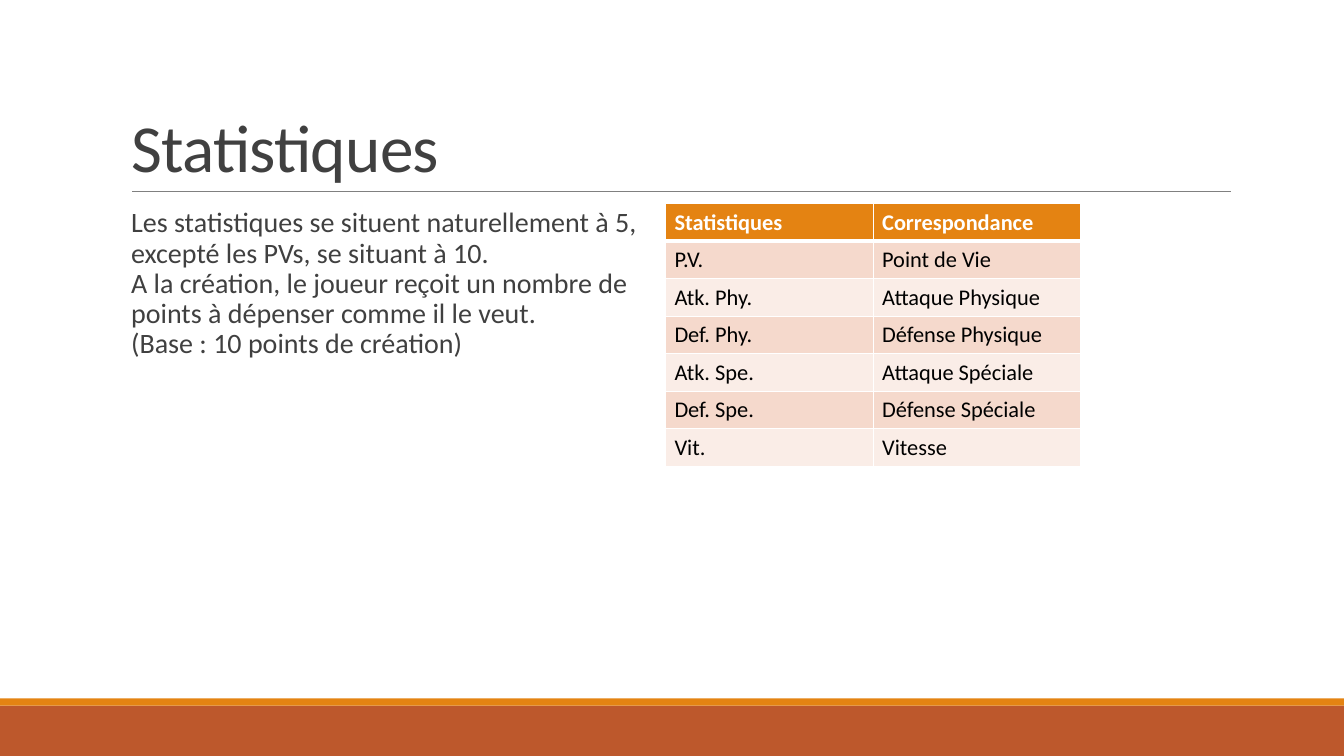
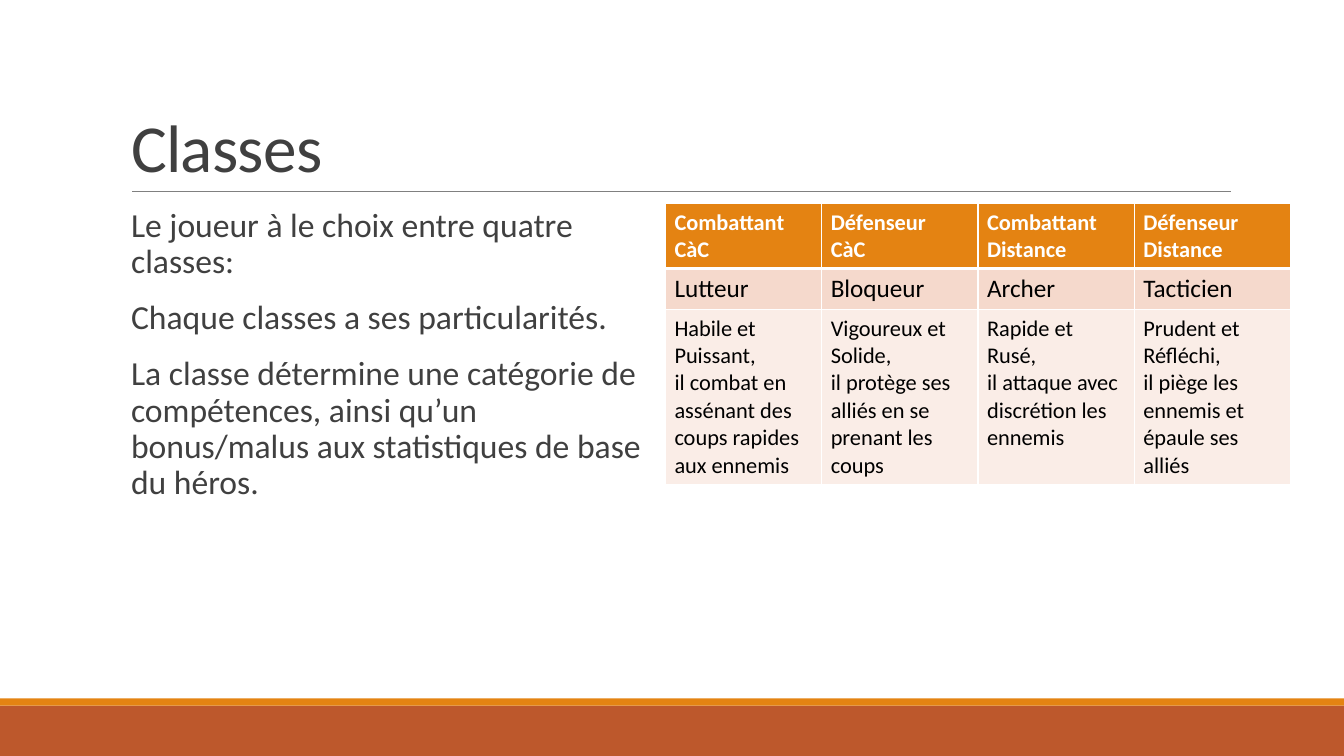
import copy
from dataclasses import dataclass

import lxml.etree
import pptx
import pptx.dml.color
import pptx.enum.shapes
import pptx.enum.text
import pptx.oxml
import pptx.oxml.ns
import pptx.util

Inches = pptx.util.Inches
Pt = pptx.util.Pt
qn = pptx.oxml.ns.qn

# Content
SLIDES = [
    {
        "title": "Statistiques",
        "body": [
            "Les statistiques se situent naturellement à 5, excepté les PVs, se situant à 10.\n"
            "A la création, le joueur reçoit un nombre de points à dépenser comme il le veut.\n"
            "(Base : 10 points de création)",
        ],
        "body_size": 20,
        "body_width": 5.4,
        "table": [
            ("Statistiques", "Correspondance"),
            ("P.V.", "Point de Vie"),
            ("Atk. Phy.", "Attaque Physique"),
            ("Def. Phy.", "Défense Physique"),
            ("Atk. Spe.", "Attaque Spéciale"),
            ("Def. Spe.", "Défense Spéciale"),
            ("Vit.", "Vitesse"),
        ],
        "row_sizes": [16] * 7,
        "column_width": 2.06,
        "row_height": 0.37,
    },
    {
        "title": "Classes",
        "body": [
            "Le joueur à le choix entre quatre classes:",
            "Chaque classes a ses particularités.",
            "La classe détermine une catégorie de compétences, ainsi qu’un "
            "bonus/malus aux statistiques de base du héros.",
        ],
        "body_size": 24,
        "body_width": 5.33,
        "table": [
            ("Combattant\nCàC", "Défenseur\nCàC", "Combattant\nDistance", "Défenseur\nDistance"),
            ("Lutteur", "Bloqueur", "Archer", "Tacticien"),
            (
                "Habile et Puissant,\nil combat en assénant des coups rapides aux ennemis",
                "Vigoureux et Solide,\nil protège ses alliés en se prenant les coups",
                "Rapide et Rusé,\nil attaque avec discrétion les ennemis",
                "Prudent et Réfléchi,\nil piège les ennemis et épaule ses alliés",
            ),
        ],
        "row_sizes": [16, 18, 16],
        "column_width": 1.55,
        "row_height": 0.41,
    },
]


# Look
@dataclass(frozen=True)
class Theme:
    font: str = "Calibri"
    text: str = "404040"
    cell_text: str = "000000"
    white: str = "FFFFFF"
    accent: str = "E48312"
    footer: str = "BD582C"
    rule: str = "808080"
    stripes: tuple = ("F5D9CC", "FAEDE7")
    title_size: int = 48
    title_tracking: int = -50  # hundredths of a point
    border: float = 1
    header_border: float = 3


THEME = Theme()
SLIDE_WIDTH, SLIDE_HEIGHT = 13.33, 7.5
CONTENT_LEFT, CONTENT_TOP = 1.2, 2.02
TABLE_LEFT = 6.6
RULE_LEFT, RULE_RIGHT, RULE_TOP = 1.31, 12.21, 1.9


def rgb(color):
    return pptx.dml.color.RGBColor.from_string(color)


def place(shape, left, top, width, height):
    shape.left, shape.top = Inches(left), Inches(top)
    shape.width, shape.height = Inches(width), Inches(height)


def write(paragraph, text, size, color, bold=False, tracking=None):
    """Add one run per line, with line breaks of the same size."""
    for number, line in enumerate(text.split("\n")):
        if number:
            paragraph.add_line_break()
            line_break = paragraph._p[-1]
        run = paragraph.add_run()
        run.text = line
        run.font.name = THEME.font
        run.font.size = Pt(size)
        run.font.bold = bold
        run.font.color.rgb = rgb(color)
        if tracking:
            run._r.rPr.set("spc", str(tracking))
        if number:
            line_break.append(copy.deepcopy(run._r.rPr))


# Shared bands and rule, kept on the layout
def decorate_layout(layout, slide):
    decorations = []
    for top, height, color in ((7, 0.5, THEME.footer), (6.93, 0.07, THEME.accent)):
        band = slide.shapes.add_shape(
            pptx.enum.shapes.MSO_SHAPE.RECTANGLE,
            Inches(0), Inches(top), Inches(SLIDE_WIDTH), Inches(height),
        )
        band.shadow.inherit = False
        band.fill.solid()
        band.fill.fore_color.rgb = rgb(color)
        band.line.fill.background()
        decorations.append(band)
    rule = slide.shapes.add_connector(
        pptx.enum.shapes.MSO_CONNECTOR.STRAIGHT,
        Inches(RULE_LEFT), Inches(RULE_TOP), Inches(RULE_RIGHT), Inches(RULE_TOP),
    )
    rule.line.color.rgb = rgb(THEME.rule)
    rule.line.width = Pt(0.5)
    lxml.etree.SubElement(rule._element.spPr, qn("a:effectLst"))
    decorations.append(rule)
    for shape in decorations:
        layout.element.cSld.spTree.append(shape._element)


def fill_title(title, text):
    place(title, CONTENT_LEFT, 0.31, 11, 1.59)
    frame = title.text_frame
    frame.auto_size = pptx.enum.text.MSO_AUTO_SIZE.NONE
    frame.vertical_anchor = pptx.enum.text.MSO_ANCHOR.BOTTOM
    paragraph = frame.paragraphs[0]
    paragraph.alignment = pptx.enum.text.PP_ALIGN.LEFT
    paragraph.line_spacing = 0.85
    write(paragraph, text, THEME.title_size, THEME.text, tracking=THEME.title_tracking)


def fill_body(body, texts, size, width):
    place(body, CONTENT_LEFT, CONTENT_TOP, width, 4.4)
    frame = body.text_frame
    frame.auto_size = pptx.enum.text.MSO_AUTO_SIZE.NONE
    frame.margin_left = frame.margin_right = 0
    frame.margin_top = frame.margin_bottom = Inches(0.05)
    for number, text in enumerate(texts):
        paragraph = frame.add_paragraph() if number else frame.paragraphs[0]
        paragraph.line_spacing = 0.9
        paragraph.space_before = Pt(12)
        paragraph.space_after = Pt(2)
        # Blank bullet with a hanging indent
        properties = paragraph._p.get_or_add_pPr()
        properties.set("marL", str(Inches(0.1)))
        properties.set("indent", str(-Inches(0.1)))
        bullet_color = lxml.etree.SubElement(properties, qn("a:buClr"))
        lxml.etree.SubElement(bullet_color, qn("a:srgbClr"), val=THEME.accent)
        lxml.etree.SubElement(properties, qn("a:buChar"), char=" ")
        write(paragraph, text, size, THEME.text)


def set_borders(cell, row_number):
    widths = {"lnL": THEME.border, "lnR": THEME.border,
              "lnT": THEME.header_border if row_number == 1 else THEME.border,
              "lnB": THEME.header_border if row_number == 0 else THEME.border}
    properties = cell._tc.get_or_add_tcPr()
    for side, width in widths.items():
        line = lxml.etree.SubElement(properties, qn("a:" + side), w=str(Pt(width)))
        fill = lxml.etree.SubElement(line, qn("a:solidFill"))
        lxml.etree.SubElement(fill, qn("a:srgbClr"), val=THEME.white)


def add_striped_table(slide, rows, row_sizes, column_width, row_height):
    columns = len(rows[0])
    table = slide.shapes.add_table(
        len(rows), columns, Inches(TABLE_LEFT), Inches(CONTENT_TOP),
        Inches(column_width * columns), Inches(row_height * len(rows)),
    ).table
    table.horz_banding = False
    for column in table.columns:
        column.width = Inches(column_width)
    for row_number, (texts, size) in enumerate(zip(rows, row_sizes)):
        header = row_number == 0
        table.rows[row_number].height = Inches(row_height)
        for column_number, text in enumerate(texts):
            cell = table.cell(row_number, column_number)
            cell.margin_left = cell.margin_right = Inches(0.09)
            cell.margin_top = cell.margin_bottom = Inches(0.05)
            set_borders(cell, row_number)
            cell.fill.solid()
            cell.fill.fore_color.rgb = rgb(
                THEME.accent if header else THEME.stripes[(row_number - 1) % 2])
            write(cell.text_frame.paragraphs[0], text, size,
                  THEME.white if header else THEME.cell_text, bold=header)


def main():
    presentation = pptx.Presentation()
    presentation.slide_width = Inches(SLIDE_WIDTH)
    presentation.slide_height = Inches(SLIDE_HEIGHT)
    layout = presentation.slide_layouts.get_by_name("Title and Content")
    for number, content in enumerate(SLIDES):
        slide = presentation.slides.add_slide(layout)
        if number == 0:
            decorate_layout(layout, slide)
        fill_title(slide.shapes.title, content["title"])
        fill_body(slide.placeholders[1], content["body"],
                  content["body_size"], content["body_width"])
        add_striped_table(slide, content["table"], content["row_sizes"],
                          content["column_width"], content["row_height"])
    presentation.save("out.pptx")


if __name__ == "__main__":
    main()
